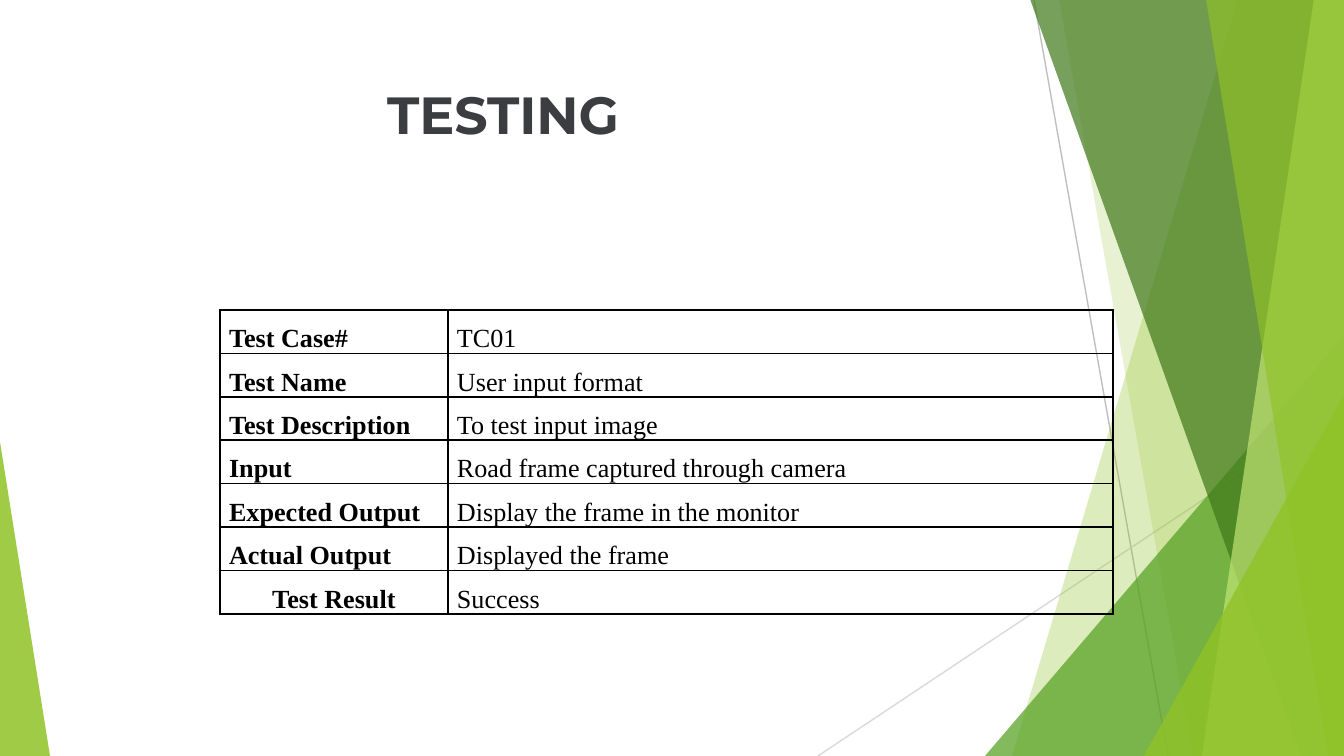
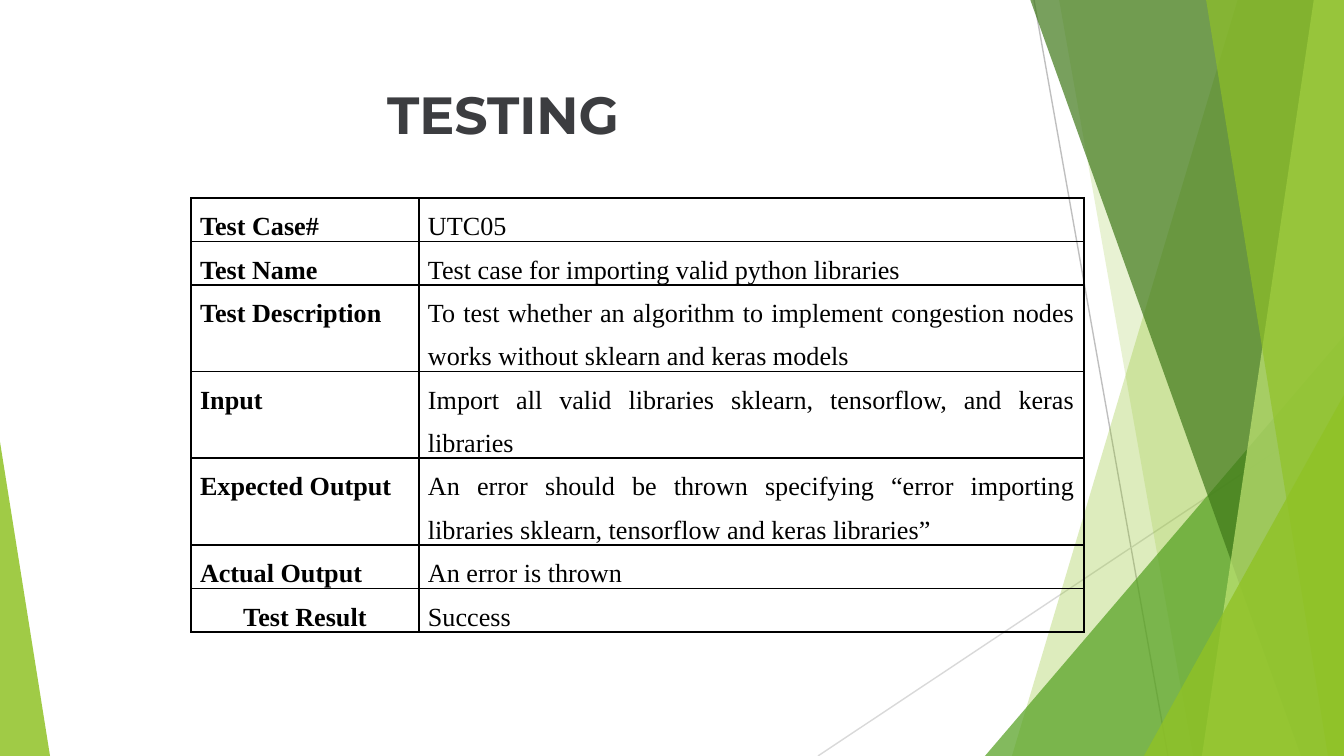
from lxml.etree import SubElement
from pptx import Presentation
from pptx.dml.color import RGBColor
from pptx.enum.shapes import MSO_CONNECTOR, MSO_SHAPE
from pptx.enum.text import MSO_ANCHOR, MSO_AUTO_SIZE, PP_ALIGN
from pptx.oxml import parse_xml
from pptx.oxml.ns import nsdecls, qn
from pptx.util import Pt

PX = 914400 / 134.4
WIDTH, HEIGHT = 1344, 756
COLORS = {
    "leaf": "90C226",
    "grass": "54A021",
    "forest": "3F7819",
    "lime": "C0E474",
    "line": "BFBFBF",
    "pale_line": "D9D9D9",
    "title": "3C3D40",
    "ink": "000000",
}
TITLE_BOX = (378, 77, 722, 132)
COLUMN_WIDTHS = (228, 665)
ROW_HEIGHT = 43
FIELDS = ("Test Case#", "Test Name", "Test Description", "Input",
          "Expected Output", "Actual Output", "Test Result")
CASES = [
    ((220, 310, 893, 329), (
        "TC01",
        "User input format",
        "To test input image",
        "Road frame captured through camera",
        "Display the frame in the monitor",
        "Displayed the frame",
        "Success",
    )),
    ((191, 198, 893, 470), (
        "UTC05",
        "Test case for importing valid python libraries",
        "To test whether an algorithm to implement congestion nodes "
        "works without sklearn and keras models",
        "Import all valid libraries sklearn, tensorflow, and keras libraries",
        "An error should be thrown specifying “error importing libraries "
        "sklearn, tensorflow and keras libraries”",
        "An error is thrown",
        "Success",
    )),
]


def px(*lengths):
    return [round(length * PX) for length in lengths]


def rgb(name):
    return RGBColor.from_string(COLORS[name])


def write(frame, text, *, font, size, color, bold=False, align=PP_ALIGN.LEFT,
          line_spacing=None, space_after=None):
    paragraph = frame.paragraphs[0]
    paragraph.alignment = align
    paragraph.line_spacing = line_spacing
    paragraph.space_after = space_after
    run = paragraph.add_run()
    run.text = text
    run.font.name = font
    run.font.size = Pt(size)
    run.font.bold = bold
    run.font.color.rgb = rgb(color)


def tint(facet, color, opacity):
    """Give a facet a see-through fill, with no outline or shadow."""
    facet.shadow.inherit = False
    facet.line.fill.background()
    facet.fill.solid()
    facet.fill.fore_color.rgb = rgb(color)
    hue = facet.element.spPr.find(qn("a:solidFill"))[0]
    SubElement(hue, qn("a:alpha")).set("val", str(opacity * 1000))


def add_ray(shapes, start, end, color):
    ray = shapes.add_connector(MSO_CONNECTOR.STRAIGHT, *px(*start, *end))
    ray.line.color.rgb = rgb(color)
    ray.line.width = Pt(0.75)
    SubElement(ray.element.spPr, qn("a:effectLst"))


def add_band(shapes, top_x, bottom_x, color, opacity):
    """Fill from a slanted left edge to the right edge of the slide."""
    outline = shapes.build_freeform(top_x, -1, scale=PX)
    outline.add_line_segments([(WIDTH, -1), (WIDTH, HEIGHT), (bottom_x, HEIGHT)])
    tint(outline.convert_to_shape(), color, opacity)


def add_corner(shapes, left, top, width, apex, color, opacity):
    """Stand a triangle on the bottom edge of the slide."""
    corner = shapes.add_shape(MSO_SHAPE.ISOSCELES_TRIANGLE,
                              *px(left, top, width, HEIGHT - top))
    corner.adjustments[0] = apex
    tint(corner, color, opacity)


def decorate(layout, slide):
    """Draw the facets on a slide, then hand them to its layout."""
    facets = slide.shapes.add_group_shape()
    shapes = facets.shapes
    add_ray(shapes, (1034, 0), (1168, HEIGHT), "line")
    add_ray(shapes, (WIDTH, 406), (818, HEIGHT), "pale_line")
    add_band(shapes, 1238, 1012, "leaf", 30)
    add_band(shapes, 1059, 1193, "leaf", 20)
    add_corner(shapes, 985, 336, 359, 1, "grass", 72)
    add_band(shapes, 1030, 1301, "forest", 70)
    add_band(shapes, 1314, 1202, "lime", 70)
    add_band(shapes, 1206, 1328, "leaf", 65)
    add_corner(shapes, 1144, 395, 200, 1, "leaf", 80)
    add_corner(shapes, 0, 442, 50, 0, "leaf", 85)
    for placeholder in list(layout.placeholders)[1:]:
        layout.shapes.element.remove(placeholder.element)
    layout.shapes.element.insert(2, facets.element)


def place_title(title, box):
    title.left, title.top, title.width, title.height = px(*box)
    frame = title.text_frame
    frame.word_wrap = True
    frame.auto_size = MSO_AUTO_SIZE.NONE
    frame.vertical_anchor = MSO_ANCHOR.TOP
    frame.margin_left, frame.margin_right = px(9, 9)
    frame.margin_top, frame.margin_bottom = px(5, 5)
    write(frame, "TESTING", font="Montserrat", size=28, color="title", bold=True)


def rule_cell(cell):
    """Put a thin line on each side of a cell that has no fill."""
    cell.fill.background()
    properties = cell._tc.get_or_add_tcPr()
    for position, side in enumerate(("lnL", "lnR", "lnT", "lnB")):
        properties.insert(position, parse_xml(
            f'<a:{side} {nsdecls("a")} w="{Pt(1)}"><a:solidFill>'
            f'<a:srgbClr val="{COLORS["ink"]}"/></a:solidFill></a:{side}>'))


def fill_cell(cell, text, bold, align):
    cell.margin_left, cell.margin_right = px(9, 9)
    cell.margin_top = cell.margin_bottom = 0
    write(cell.text_frame, text, font="Times New Roman", size=14, color="ink",
          bold=bold, align=align, line_spacing=1.5, space_after=Pt(10))
    rule_cell(cell)


def add_case_table(slide, box, answers):
    case = slide.shapes.add_table(len(FIELDS), 2, *px(*box)).table
    case.first_row = case.horz_banding = False
    for column, width in zip(case.columns, px(*COLUMN_WIDTHS)):
        column.width = width
    for row, field, answer in zip(case.rows, FIELDS, answers):
        row.height = px(ROW_HEIGHT)[0]
        centred = field == FIELDS[-1]
        fill_cell(row.cells[0], field, True,
                  PP_ALIGN.CENTER if centred else PP_ALIGN.JUSTIFY)
        fill_cell(row.cells[1], answer, False, PP_ALIGN.JUSTIFY)


def main():
    deck = Presentation()
    deck.slide_width, deck.slide_height = px(WIDTH, HEIGHT)
    layout = deck.slide_layouts[5]
    for number, (box, answers) in enumerate(CASES):
        slide = deck.slides.add_slide(layout)
        if number == 0:
            decorate(layout, slide)
        place_title(slide.shapes.title, TITLE_BOX)
        add_case_table(slide, box, answers)
    deck.save("out.pptx")


if __name__ == "__main__":
    main()
